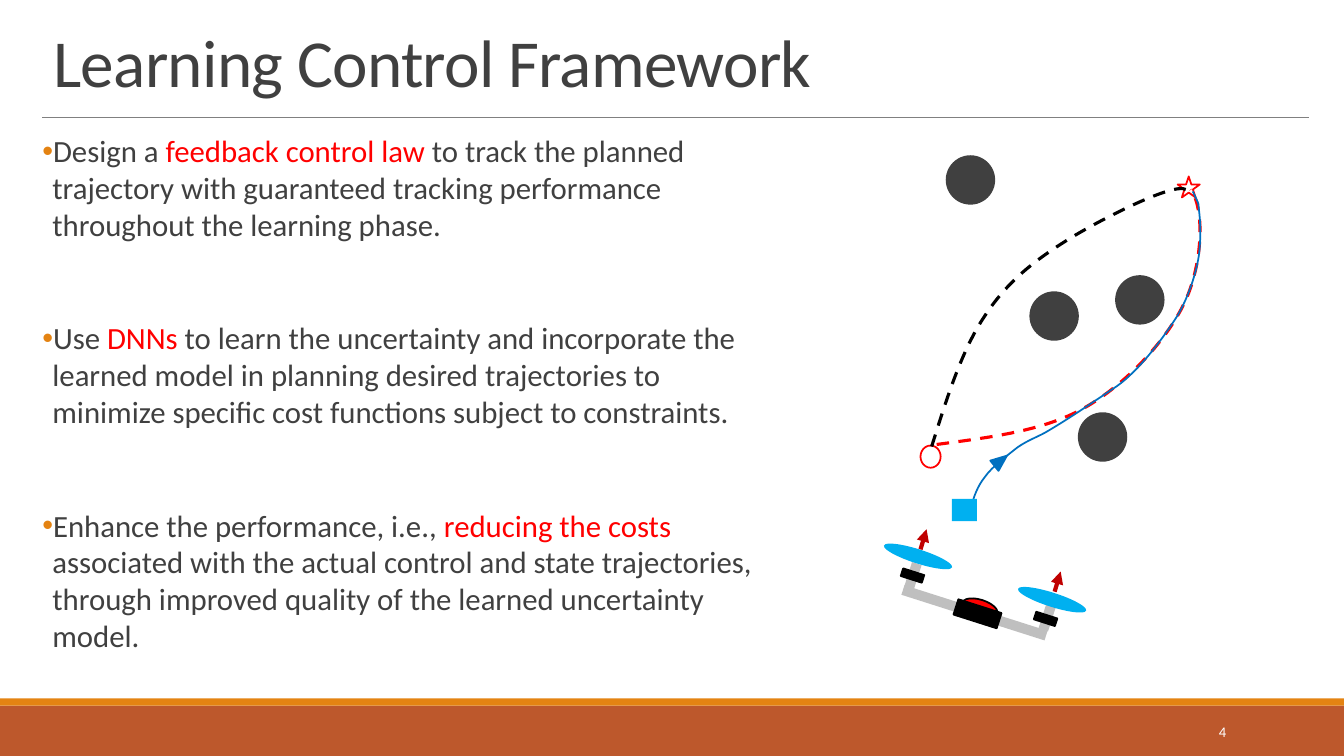
"""Build the Learning Control Framework slide with its drone trajectory diagram."""
import pptx
import pptx.dml.color
import pptx.enum.dml
import pptx.enum.shapes
import pptx.enum.text
import pptx.oxml.ns
import pptx.util
from lxml import etree

PX = 9144
THEME = {
    "font": "Calibri", "bullet_font": "Arial", "title": 48, "body": 22, "number": 10.5,
    "ink": "404040", "accent": "E48312", "footer": "BD582C", "rule": "808080",
    "red": "FF0000", "white": "FFFFFF", "black": "000000", "frame": "BFBFBF",
    "sky": "00B0F0", "blue": "0070C0", "thrust": "C00000",
}
SHAPE = pptx.enum.shapes.MSO_SHAPE
ALIGN = pptx.enum.text.PP_ALIGN
ANCHOR = pptx.enum.text.MSO_ANCHOR
qn = pptx.oxml.ns.qn


def rgb(name):
    """Return a theme colour."""
    return pptx.dml.color.RGBColor.from_string(THEME[name])


def add_piece(kind, box, fill=None, line=None, angle=0):
    """Add a preset shape with its box in px."""
    piece = slide.shapes.add_shape(kind, *[length * PX for length in box])
    piece.shadow.inherit = False
    piece.rotation = angle
    if fill:
        piece.fill.solid()
        piece.fill.fore_color.rgb = rgb(fill)
    else:
        piece.fill.background()
    if line:
        piece.line.color.rgb = rgb(line)
        piece.line.width = pptx.util.Pt(1.25)
    else:
        piece.line.fill.background()


deck = pptx.Presentation()
deck.slide_width, deck.slide_height = 1333 * PX, 750 * PX
slide = deck.slides.add_slide(deck.slide_layouts[5])

add_piece(SHAPE.RECTANGLE, (0, 700, 1333, 50), "footer")
add_piece(SHAPE.RECTANGLE, (0, 693, 1333, 7), "accent")

title = slide.shapes.title
title.left, title.top, title.width, title.height = 43 * PX, 3 * PX, 1255 * PX, 102 * PX
title.text_frame.text = "Learning Control Framework"
title.text_frame.auto_size = pptx.enum.text.MSO_AUTO_SIZE.NONE
title.text_frame.vertical_anchor = ANCHOR.BOTTOM
heading = title.text_frame.paragraphs[0]
heading.alignment = ALIGN.LEFT
heading.line_spacing = 0.85
heading.font.name = THEME["font"]
heading.font.size = pptx.util.Pt(THEME["title"])
heading.font.color.rgb = rgb("ink")
heading.runs[0]._r.get_or_add_rPr().set("spc", "-50")

goals = [
    ("Design a ", "feedback control law ",
     "to track the planned trajectory with guaranteed tracking performance "
     "throughout the learning phase."),
    ("Use ", "DNNs",
     " to learn the uncertainty and incorporate the learned model in planning desired "
     "trajectories to minimize specific cost functions subject to constraints."),
    ("Enhance the performance, i.e., ", "reducing the costs ",
     "associated with the actual control and state trajectories, through improved "
     "quality of the learned uncertainty model."),
]
body = slide.shapes.add_textbox(42 * PX, 126 * PX, 732 * PX, 556 * PX).text_frame
body.word_wrap = True
body.margin_left = body.margin_right = 0
for index, phrases in enumerate(goals):
    goal = body.paragraphs[0] if index == 0 else body.add_paragraph()
    goal.space_before = pptx.util.Pt(52.5 if index else 0)
    goal.space_after = pptx.util.Pt(2)
    layout = goal._p.get_or_add_pPr()
    layout.set("marL", str(10 * PX))
    layout.set("indent", str(-10 * PX))
    bullet_color = etree.SubElement(layout, qn("a:buClr"))
    etree.SubElement(bullet_color, qn("a:srgbClr"), val=THEME["accent"])
    etree.SubElement(layout, qn("a:buFont"), typeface=THEME["bullet_font"])
    etree.SubElement(layout, qn("a:buChar"), char="•")
    goal.font.name = THEME["font"]
    goal.font.size = pptx.util.Pt(THEME["body"])
    for phrase, color in zip(phrases, ("ink", "red", "ink")):
        run = goal.add_run()
        run.text = phrase
        run.font.color.rgb = rgb(color)

footer = slide.shapes.add_textbox(1083 * PX, 706 * PX, 143 * PX, 40 * PX).text_frame
footer.word_wrap = True
footer.vertical_anchor = ANCHOR.MIDDLE
footer.text = "4"
page_number = footer.paragraphs[0]
page_number.alignment = ALIGN.RIGHT
page_number.font.name = THEME["font"]
page_number.font.size = pptx.util.Pt(THEME["number"])
page_number.font.color.rgb = rgb("white")

TILT = 17.7
drone_parts = [
    (SHAPE.RECTANGLE, (874, 523, 205, 117), "white", "white"),
    (SHAPE.RECTANGLE, (892, 603, 149, 10), "frame", None, TILT),
    (SHAPE.RECTANGLE, (893, 566, 25, 10), "frame", None, TILT + 90),
    (SHAPE.RECTANGLE, (1026, 608, 25, 10), "frame", None, TILT + 90),
    (SHAPE.OVAL, (1008, 588, 71, 14), "sky", None, TILT),
    (SHAPE.OVAL, (954, 595, 36, 16), "red", "black", TILT),
    (SHAPE.RECTANGLE, (947, 601, 45, 16), "black", "black", TILT),
    (SHAPE.RECTANGLE, (1026, 610, 22, 8), "black", "black", TILT),
    (SHAPE.RECTANGLE, (894, 567, 22, 8), "black", "black", TILT),
    (SHAPE.OVAL, (875, 545, 71, 14), "sky", None, TILT),
]
for part in drone_parts:
    add_piece(*part)

straight_lines = [
    ((42, 116, 1298, 116), "rule", 0.5, False),
    ((1046, 587, 1052, 567), "thrust", 3, True),
    ((913, 545, 919, 525), "thrust", 3, True),
]
for ends, color, weight, arrow in straight_lines:
    straight = slide.shapes.add_connector(
        pptx.enum.shapes.MSO_CONNECTOR.STRAIGHT, *[end * PX for end in ends])
    straight.line.color.rgb = rgb(color)
    straight.line.width = pptx.util.Pt(weight)
    if arrow:
        etree.SubElement(straight.line._get_or_add_ln(), qn("a:tailEnd"), type="triangle")
    etree.SubElement(straight._element.spPr, qn("a:effectLst"))

add_piece(SHAPE.OVAL, (913, 442, 20, 22), line="red")
add_piece(SHAPE.STAR_5_POINT, (1168, 175, 22, 21), line="red")
for left, top in [(1106, 273), (1069, 409), (1021, 289), (938, 154)]:
    add_piece(SHAPE.OVAL, (left, top, 49, 49), "ink")

DASH = pptx.enum.dml.MSO_LINE.DASH
trajectories = [
    ("black", 2.25, DASH,
     [(924, 443), (939, 395), (954, 347), (977, 313), (1000, 278), (1028, 257),
      (1062, 236), (1095, 216), (1164, 181), (1176, 188)]),
    ("red", 2.25, DASH,
     [(929, 441), (981, 434), (1034, 428), (1075, 405), (1116, 382), (1156, 339),
      (1174, 302), (1192, 266), (1196, 209), (1181, 188)]),
    ("blue", 1.25, None,
     [(963, 503), (966, 493), (969, 483), (977, 473), (984, 463), (999, 452),
      (1009, 444), (1019, 437), (1028, 434), (1037, 429), (1061, 415), (1084, 399),
      (1108, 383), (1130, 367), (1152, 338), (1168, 313), (1178, 296), (1186, 273),
      (1189, 254), (1191, 238), (1191, 222), (1189, 207), (1188, 202), (1191, 206),
      (1183, 190)]),
]
for color, weight, dash, controls in trajectories:
    start, *rest = controls
    outline = slide.shapes.build_freeform(*start, scale=PX)
    outline.add_line_segments(rest, close=False)
    trajectory = outline.convert_to_shape()
    segments = trajectory._element.findall(".//" + qn("a:lnTo"))
    for first in range(0, len(segments), 3):
        curve = etree.Element(qn("a:cubicBezTo"))
        segments[first].addprevious(curve)
        for segment in segments[first:first + 3]:
            curve.append(segment[0])
            segment.getparent().remove(segment)
    trajectory.shadow.inherit = False
    trajectory.fill.background()
    trajectory.line.color.rgb = rgb(color)
    trajectory.line.width = pptx.util.Pt(weight)
    trajectory.line.dash_style = dash

add_piece(SHAPE.RECTANGLE, (944, 495, 25, 22), "sky")
add_piece(SHAPE.FLOWCHART_MERGE, (986, 449, 13, 16), "blue", "blue", 231.3)

deck.save("out.pptx")
